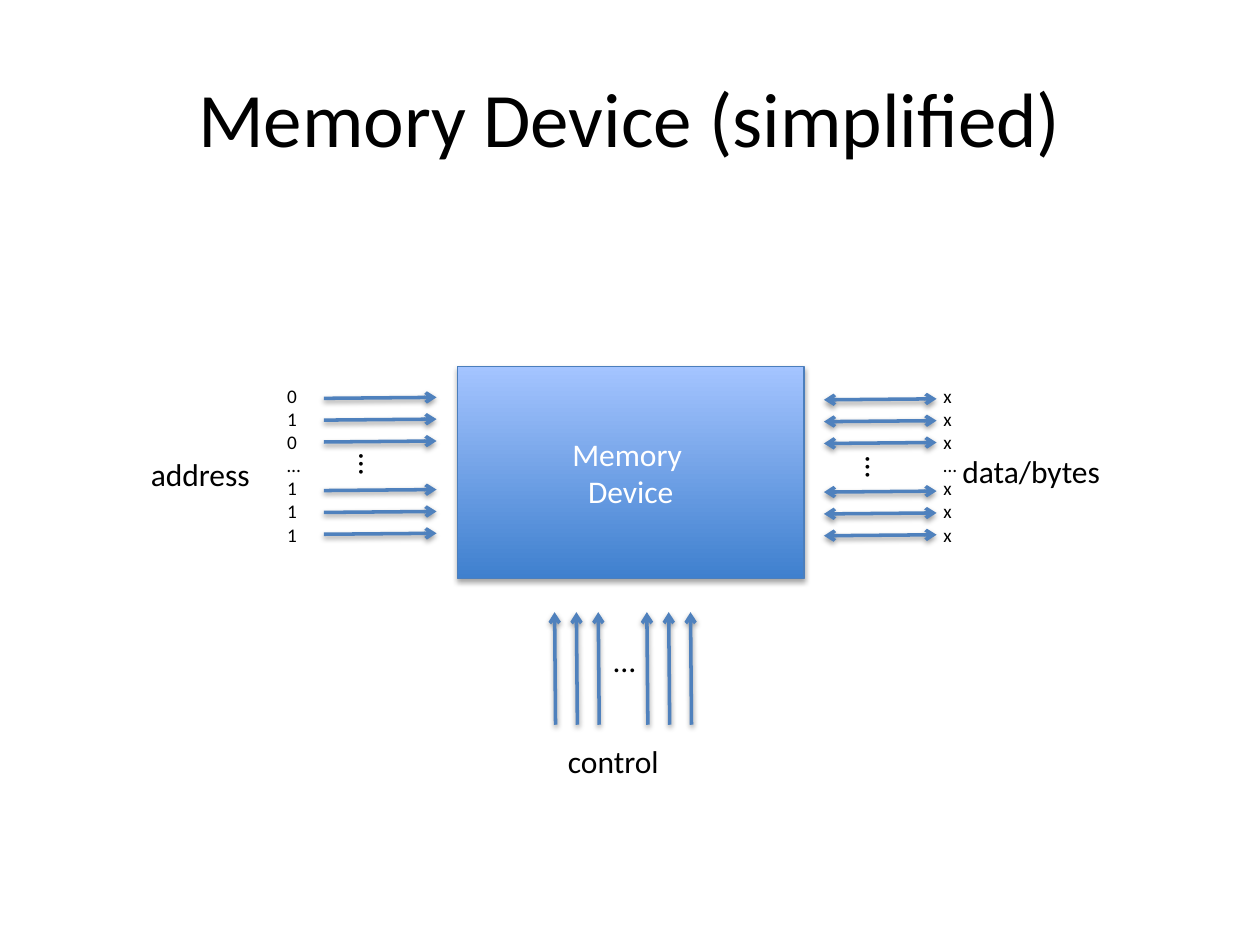
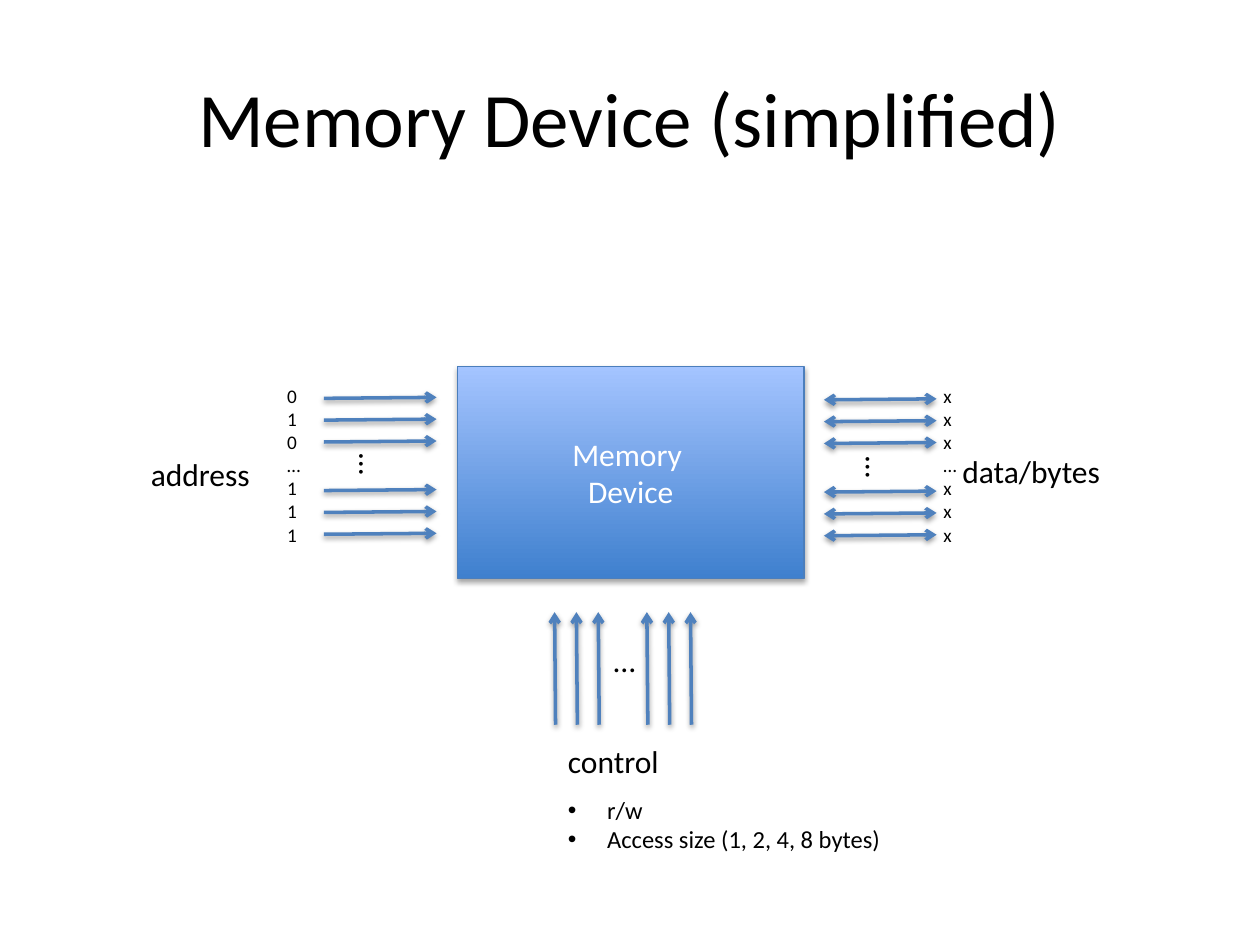
from dataclasses import dataclass

from lxml import etree
from pptx import Presentation
from pptx.dml.color import RGBColor
from pptx.enum.shapes import MSO_CONNECTOR, MSO_SHAPE
from pptx.enum.text import MSO_ANCHOR, MSO_AUTO_SIZE, PP_ALIGN
from pptx.oxml.ns import qn
from pptx.util import Cm, Pt

STRAIGHT = MSO_CONNECTOR.STRAIGHT
RECTANGLE = MSO_SHAPE.RECTANGLE
MIDDLE = MSO_ANCHOR.MIDDLE
FIT_SHAPE = MSO_AUTO_SIZE.SHAPE_TO_FIT_TEXT
NO_FIT = MSO_AUTO_SIZE.NONE
CENTER = PP_ALIGN.CENTER
LEFT = PP_ALIGN.LEFT

BLACK = RGBColor(0x00, 0x00, 0x00)
WHITE = RGBColor(0xFF, 0xFF, 0xFF)
ARROW_BLUE = RGBColor(0x4F, 0x81, 0xBD)
EDGE_BLUE = RGBColor(0x4B, 0x7E, 0xBC)
DEEP_BLUE = RGBColor(0x3F, 0x80, 0xCE)
PALE_BLUE = RGBColor(0xA4, 0xC4, 0xFF)

FONT = "Calibri"
BLANK_LAYOUT = 6
WIRE_PITCH = 0.44
HALF_OFFSET = 1.86
WIRE_LENGTH = 2.27
WIRE_SLANT = 0.02
WIRE_OFFSETS = [half * HALF_OFFSET + wire * WIRE_PITCH for half in range(2) for wire in range(3)]


@dataclass(frozen=True)
class Label:
    lines: tuple[str, ...]
    left: float
    top: float
    width: float
    height: float
    size: int = 18
    rotation: int = 0
    wrap: bool = False
    bulleted: bool = False


@dataclass(frozen=True)
class Bus:
    left: float
    top: float
    dots: Label
    vertical: bool = False
    two_way: bool = False


TITLE = Label(("Memory Device (simplified)",), 1.27, 0.76, 22.86, 3.18, size=44, wrap=True)
DEVICE = Label(("Memory ", "Device"), 9.22, 7.39, 6.99, 4.27, wrap=True)
BUSES = (
    Bus(6.53, 8.03, Label(("…",), 7.01, 8.86, 0.97, 1.02, rotation=90)),
    Bus(16.61, 8.06, Label(("…",), 17.22, 8.92, 0.97, 1.02, rotation=90), two_way=True),
    Bus(11.2, 12.34, Label(("…",), 12.12, 12.8, 0.97, 1.02), vertical=True),
)
LABELS = (
    Label(("address",), 2.79, 9.04, 2.54, 1.02),
    Label(("data/bytes",), 19.15, 8.99, 3.4, 1.02),
    Label(("control",), 11.2, 14.83, 2.72, 1.02, wrap=True),
    Label(tuple("010…111"), 5.54, 7.62, 0.79, 3.56, size=11),
    Label(tuple("xxx…xxx"), 18.77, 7.62, 0.81, 3.56, size=11),
)
CONTROL_SIGNALS = Label(
    ("r/w", "Access size (1, 2, 4, 8 bytes)"),
    11.2, 15.9, 7.92, 2.06, size=14, wrap=True, bulleted=True,
)


def apply_format(target, values: dict) -> None:
    for name, value in values.items():
        setattr(target, name, value)


def add_shadow(shape, opacity: int, distance: float) -> None:
    effects = etree.SubElement(shape._element.spPr, qn("a:effectLst"))
    shadow = etree.SubElement(
        effects, qn("a:outerShdw"), blurRad=str(Pt(3.1)), dist=str(Pt(distance)),
        dir="5400000", rotWithShape="0",
    )
    color = etree.SubElement(shadow, qn("a:srgbClr"), val=str(BLACK))
    etree.SubElement(color, qn("a:alpha"), val=str(opacity * 1000))


def add_bullet(paragraph) -> None:
    properties = paragraph._p.get_or_add_pPr()
    properties.set("marL", str(Cm(0.79)))
    properties.set("indent", str(-Cm(0.79)))
    etree.SubElement(properties, qn("a:buFont"), typeface="Arial")
    etree.SubElement(properties, qn("a:buChar"), char="•")


def write_lines(shape, label: Label, color: RGBColor, alignment) -> None:
    frame = shape.text_frame
    frame.text = "\n".join(label.lines)
    for paragraph in frame.paragraphs:
        paragraph.alignment = alignment
        if label.bulleted:
            add_bullet(paragraph)
        font = paragraph.runs[0].font
        apply_format(font, {"name": FONT, "size": Pt(label.size)})
        font.color.rgb = color


def bounds(label: Label) -> tuple[Cm, ...]:
    return tuple(Cm(length) for length in (label.left, label.top, label.width, label.height))


def add_label(slide, label: Label) -> None:
    shape = slide.shapes.add_textbox(*bounds(label))
    shape.rotation = label.rotation
    write_lines(shape, label, BLACK, LEFT)
    apply_format(shape.text_frame, {"word_wrap": label.wrap, "auto_size": FIT_SHAPE})


def add_title(slide) -> None:
    shape = slide.shapes.add_textbox(*bounds(TITLE))
    write_lines(shape, TITLE, BLACK, CENTER)
    apply_format(
        shape.text_frame,
        {"word_wrap": True, "auto_size": NO_FIT, "vertical_anchor": MIDDLE},
    )


def add_device(slide) -> None:
    shape = slide.shapes.add_shape(RECTANGLE, *bounds(DEVICE))
    shape.fill.gradient()
    shape.fill.gradient_angle = 90
    for stop, position, color in zip(shape.fill.gradient_stops, (0, 1), (DEEP_BLUE, PALE_BLUE)):
        stop.position = position
        stop.color.rgb = color
    shape.line.color.rgb = EDGE_BLUE
    shape.line.width = Pt(0.75)
    add_shadow(shape, 35, 1.8)
    write_lines(shape, DEVICE, WHITE, CENTER)
    shape.text_frame.vertical_anchor = MIDDLE


def add_wire(shapes, ends: tuple[float, ...], two_way: bool) -> None:
    connector = shapes.add_connector(STRAIGHT, *(Cm(length) for length in ends))
    connector.line.color.rgb = ARROW_BLUE
    connector.line.width = Pt(2)
    line = connector._element.spPr.find(qn("a:ln"))
    for end in ("a:headEnd", "a:tailEnd") if two_way else ("a:tailEnd",):
        etree.SubElement(line, qn(end), type="arrow")
    add_shadow(connector, 38, 1.6)


def add_bus(slide, bus: Bus) -> None:
    shapes = slide.shapes.add_group_shape().shapes if bus.vertical else slide.shapes
    for offset in WIRE_OFFSETS:
        if bus.vertical:
            x = bus.left + offset
            ends = (x, bus.top + WIRE_LENGTH, x - WIRE_SLANT, bus.top)
        else:
            y = bus.top + offset
            ends = (bus.left, y, bus.left + WIRE_LENGTH, y - WIRE_SLANT)
        add_wire(shapes, ends, bus.two_way)
    add_label(slide, bus.dots)


def add_memory_slide(presentation, extra_labels: tuple[Label, ...] = ()) -> None:
    slide = presentation.slides.add_slide(presentation.slide_layouts[BLANK_LAYOUT])
    add_title(slide)
    add_device(slide)
    for bus in BUSES:
        add_bus(slide, bus)
    for label in LABELS + extra_labels:
        add_label(slide, label)


def main() -> None:
    presentation = Presentation()
    apply_format(presentation, {"slide_width": Cm(25.4), "slide_height": Cm(19.05)})
    add_memory_slide(presentation)
    add_memory_slide(presentation, (CONTROL_SIGNALS,))
    presentation.save("out.pptx")


if __name__ == "__main__":
    main()
